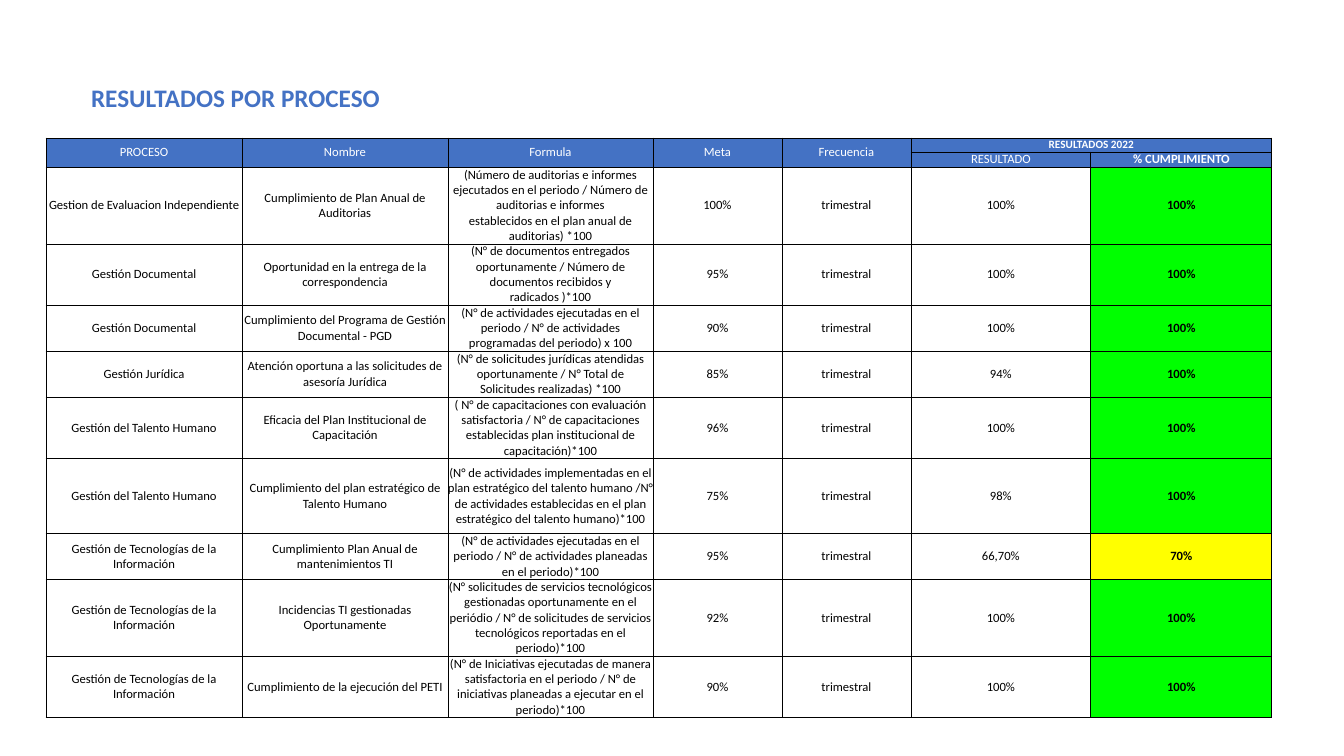
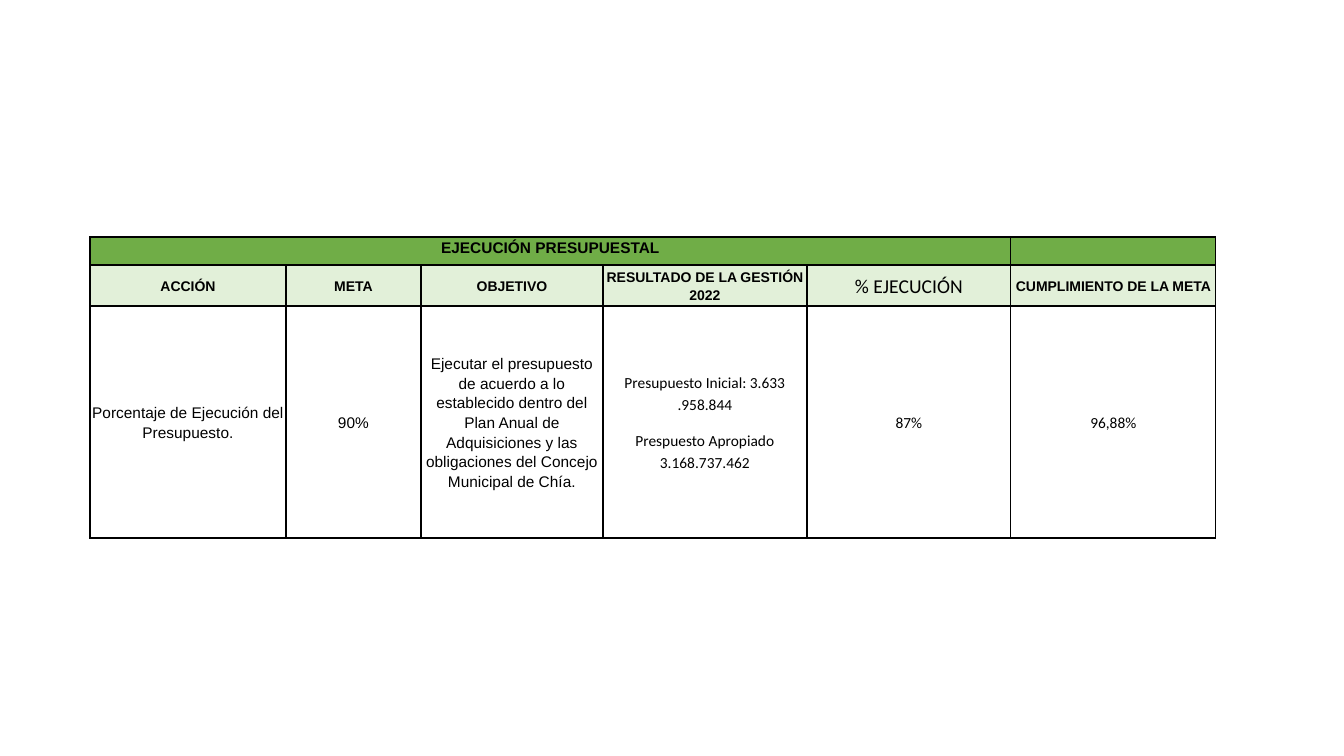
from dataclasses import dataclass, replace

from pptx import Presentation
from pptx.dml.color import RGBColor
from pptx.enum.text import MSO_ANCHOR, MSO_AUTO_SIZE, PP_ALIGN
from pptx.oxml import parse_xml
from pptx.oxml.ns import nsdecls
from pptx.util import Emu, Pt

PX_PER_INCH = 100.8
TITLE_ONLY, BLANK = 5, 6


def px(count):
    return Emu(round(count * 914400 / PX_PER_INCH))


@dataclass(frozen=True)
class Theme:
    blue: str = "4472C4"
    white: str = "FFFFFF"
    black: str = "000000"
    met: str = "00FF00"
    partly_met: str = "FFFF00"
    green: str = "70AD47"
    pale_green: str = "E2F0D9"
    sans: str = "Calibri"
    formal: str = "Arial"
    title_size: int = 18
    large_size: int = 14
    body_size: int = 11
    label_size: int = 10
    grid_size: int = 9
    small_size: int = 8


THEME = Theme()


@dataclass(frozen=True)
class CellStyle:
    font: str = THEME.sans
    size: int = THEME.grid_size
    color: str = THEME.black
    bold: bool = False
    fill: str | None = THEME.white
    border: float = 0.5
    anchor: MSO_ANCHOR = MSO_ANCHOR.MIDDLE
    line_spacing: float | None = None
    space_after: int = 0


PROCESS_BODY = CellStyle()
PROCESS_HEAD = CellStyle(color=THEME.white, fill=THEME.blue)
BUDGET_BODY = CellStyle(size=THEME.body_size, fill=None, border=1,
                        line_spacing=1.15, space_after=10)
BUDGET_FORMAL = replace(BUDGET_BODY, font=THEME.formal)
BUDGET_HEAD = replace(BUDGET_FORMAL, size=THEME.label_size, bold=True,
                      fill=THEME.pale_green)
BUDGET_BAND = replace(BUDGET_FORMAL, bold=True, fill=THEME.green,
                      anchor=MSO_ANCHOR.TOP)

PROCESS_COLUMNS = (196, 206, 205, 129, 129, 180, 181)
PROCESS_HEADINGS = ("PROCESO", "Nombre", "Formula", "Meta", "Frecuencia")
HEADING_HEIGHTS = (14, 15)
LINE_HEIGHT = 15
FREQUENCY = "trimestral"

# process, indicator, formula, formula lines, goal, result, compliance
INDICATORS = (
    ("Gestion de Evaluacion Independiente",
     "Cumplimiento de Plan Anual de Auditorias",
     "(Número de auditorias e informes ejecutados en el periodo / Número de "
     "auditorias e informes\vestablecidos en el plan anual de auditorias) *100",
     5, "100%", "100%", "100%"),
    ("Gestión Documental", "Oportunidad en la entrega de la correspondencia",
     "(N° de documentos entregados oportunamente / Número de documentos "
     "recibidos y radicados )*100",
     4, "95%", "100%", "100%"),
    ("Gestión Documental",
     "Cumplimiento del Programa de Gestión Documental - PGD",
     "(N° de actividades ejecutadas en el periodo / N° de actividades "
     "programadas del periodo) x 100",
     3, "90%", "100%", "100%"),
    ("Gestión Jurídica",
     "Atención oportuna a las solicitudes de asesoría Jurídica",
     "(N° de solicitudes jurídicas atendidas oportunamente / N° Total de "
     "Solicitudes realizadas) *100",
     3, "85%", "94%", "100%"),
    ("Gestión del Talento Humano",
     "Eficacia del Plan Institucional de Capacitación",
     "( N° de capacitaciones con evaluación satisfactoria / N° de "
     "capacitaciones establecidas plan institucional de capacitación)*100",
     4, "96%", "100%", "100%"),
    ("Gestión del Talento Humano",
     "Cumplimiento del plan estratégico de Talento Humano",
     "(N° de actividades implementadas en el plan estratégico del talento "
     "humano /N° de actividades establecidas en el plan estratégico del "
     "talento humano)*100",
     5, "75%", "98%", "100%"),
    ("Gestión de Tecnologías de la Información",
     "Cumplimiento Plan Anual de mantenimientos TI",
     "(N° de actividades ejecutadas en el periodo / N° de actividades "
     "planeadas en el periodo)*100",
     3, "95%", "66,70%", "70%"),
    ("Gestión de Tecnologías de la Información",
     "Incidencias TI gestionadas Oportunamente",
     "(N° solicitudes de servicios tecnológicos gestionadas oportunamente en "
     "el periódio / N° de solicitudes de servicios tecnológicos reportadas en "
     "el periodo)*100",
     5, "92%", "100%", "100%"),
    ("Gestión de Tecnologías de la Información",
     "Cumplimiento de la ejecución del PETI",
     "(N° de Iniciativas ejecutadas de manera satisfactoria en el periodo / "
     "N° de iniciativas planeadas a ejecutar en el periodo)*100",
     4, "90%", "100%", "100%"),
)

BUDGET_COLUMNS = (196, 135, 182, 204, 204, 205)
BUDGET_ROWS = (28, 41, 232)
BUDGET_HEADINGS = ("ACCIÓN", "META", "OBJETIVO", "RESULTADO DE LA GESTIÓN 2022",
                   "% EJECUCIÓN", "CUMPLIMIENTO DE LA META")
BUDGET_VALUES = (
    "Porcentaje de Ejecución del Presupuesto.",
    "90%",
    "Ejecutar el presupuesto de acuerdo a lo establecido dentro del Plan Anual "
    "de Adquisiciones y las obligaciones del Concejo Municipal de Chía.",
    "Presupuesto Inicial: 3.633 .958.844\nPrespuesto Apropiado 3.168.737.462",
    "87%",
    "96,88%",
)


def format_font(font, name, size, color, bold):
    font.name = name
    font.size = Pt(size)
    font.bold = bold
    font.color.rgb = RGBColor.from_string(color)


def add_title(page, text):
    title = page.shapes.title
    title.left, title.top, title.width, title.height = map(px, (81, 77, 1036, 40))
    frame = title.text_frame
    frame.text = text
    frame.word_wrap = True
    frame.auto_size = MSO_AUTO_SIZE.NONE
    frame.vertical_anchor = MSO_ANCHOR.MIDDLE
    para = frame.paragraphs[0]
    para.alignment = PP_ALIGN.LEFT
    format_font(para.runs[0].font, THEME.sans, THEME.title_size, THEME.blue, True)


def add_borders(cell, points):
    properties = cell._tc.get_or_add_tcPr()
    for side in ("lnL", "lnR", "lnT", "lnB"):
        properties.append(parse_xml(
            f'<a:{side} {nsdecls("a")} w="{Pt(points)}"><a:solidFill>'
            f'<a:srgbClr val="{THEME.black}"/></a:solidFill></a:{side}>'))


def fill_cell(cell, text, style):
    """Write the text of a cell and give it its borders, fill and type."""
    cell.margin_left = cell.margin_right = cell.margin_top = cell.margin_bottom = 0
    cell.vertical_anchor = style.anchor
    add_borders(cell, style.border)
    if style.fill:
        cell.fill.solid()
        cell.fill.fore_color.rgb = RGBColor.from_string(style.fill)
    else:
        cell.fill.background()
    cell.text_frame.text = text
    for para in cell.text_frame.paragraphs:
        para.alignment = PP_ALIGN.CENTER
        para.line_spacing = style.line_spacing
        para.space_after = Pt(style.space_after)
        for span in para.runs:
            format_font(span.font, style.font, style.size, style.color, style.bold)
        if not para.runs:
            # Keeps an empty cell from stretching its row
            para._p.get_or_add_endParaRPr().set("sz", str(style.size * 100))


def add_grid(page, left, top, columns, rows):
    """Add a plain table from column widths and row heights in px."""
    table = page.shapes.add_table(
        len(rows), len(columns), px(left), px(top),
        px(sum(columns)), px(sum(rows))).table
    table.first_row = table.horz_banding = False
    for column, width in zip(table.columns, columns):
        column.width = px(width)
    for row, height in zip(table.rows, rows):
        row.height = px(height)
    return table


def fill_row(table, row, texts, styles):
    for column, (text, style) in enumerate(zip(texts, styles)):
        fill_cell(table.cell(row, column), text, style)


def build_process_page(deck):
    page = deck.slides.add_slide(deck.slide_layouts[TITLE_ONLY])
    add_title(page, "RESULTADOS POR PROCESO")
    heights = HEADING_HEIGHTS + tuple(
        indicator[3] * LINE_HEIGHT for indicator in INDICATORS)
    table = add_grid(page, 46, 138, PROCESS_COLUMNS, heights)

    bold_head = replace(PROCESS_HEAD, bold=True)
    group_head = replace(bold_head, size=THEME.small_size)
    plain = [PROCESS_HEAD] * len(PROCESS_HEADINGS)
    blanks = ("",) * len(PROCESS_HEADINGS)
    fill_row(table, 0, PROCESS_HEADINGS + ("RESULTADOS 2022", ""),
             plain + [group_head, group_head])
    fill_row(table, 1, blanks + ("RESULTADO", "% CUMPLIMIENTO"),
             plain + [PROCESS_HEAD, bold_head])
    for column in range(len(PROCESS_HEADINGS)):
        table.cell(0, column).merge(table.cell(1, column))
    table.cell(0, 5).merge(table.cell(0, 6))

    for row, indicator in enumerate(INDICATORS, start=len(HEADING_HEIGHTS)):
        process, name, formula, _, goal, result, compliance = indicator
        color = THEME.met if compliance == "100%" else THEME.partly_met
        fill_row(table, row,
                 (process, name, formula, goal, FREQUENCY, result, compliance),
                 [PROCESS_BODY] * 6 + [replace(PROCESS_BODY, bold=True, fill=color)])


def build_budget_page(deck):
    page = deck.slides.add_slide(deck.slide_layouts[BLANK])
    table = add_grid(page, 90, 237, BUDGET_COLUMNS, BUDGET_ROWS)
    count = len(BUDGET_COLUMNS)
    fill_row(table, 0, ("EJECUCIÓN PRESUPUESTAL",) + ("",) * (count - 1),
             [BUDGET_BAND] * count)
    table.cell(0, 0).merge(table.cell(0, count - 2))

    execution_head = replace(BUDGET_HEAD, font=THEME.sans, size=THEME.large_size,
                             bold=False)
    fill_row(table, 1, BUDGET_HEADINGS,
             [BUDGET_HEAD] * 4 + [execution_head, BUDGET_HEAD])
    fill_row(table, 2, BUDGET_VALUES, [BUDGET_FORMAL] * 3 + [BUDGET_BODY] * 3)


def main():
    deck = Presentation()
    deck.slide_width, deck.slide_height = px(1344), px(756)
    build_process_page(deck)
    build_budget_page(deck)
    deck.save("out.pptx")


if __name__ == "__main__":
    main()
